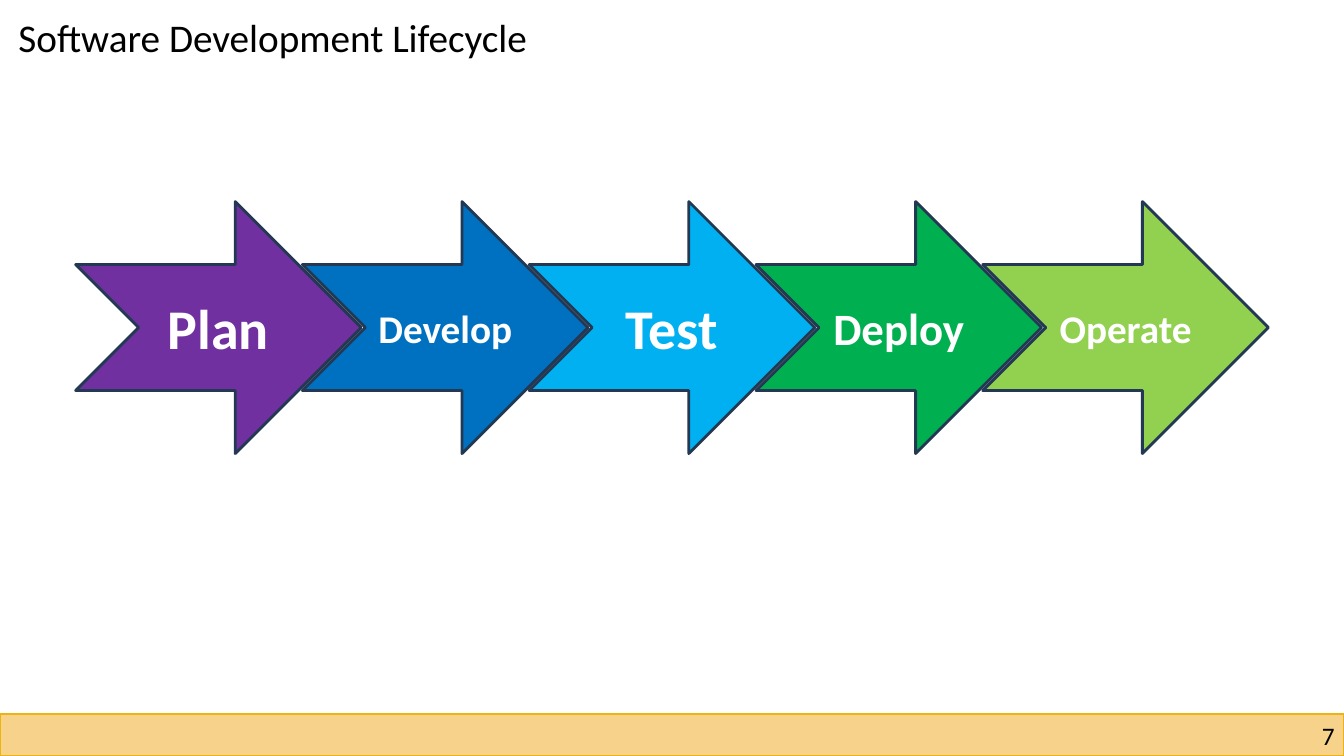
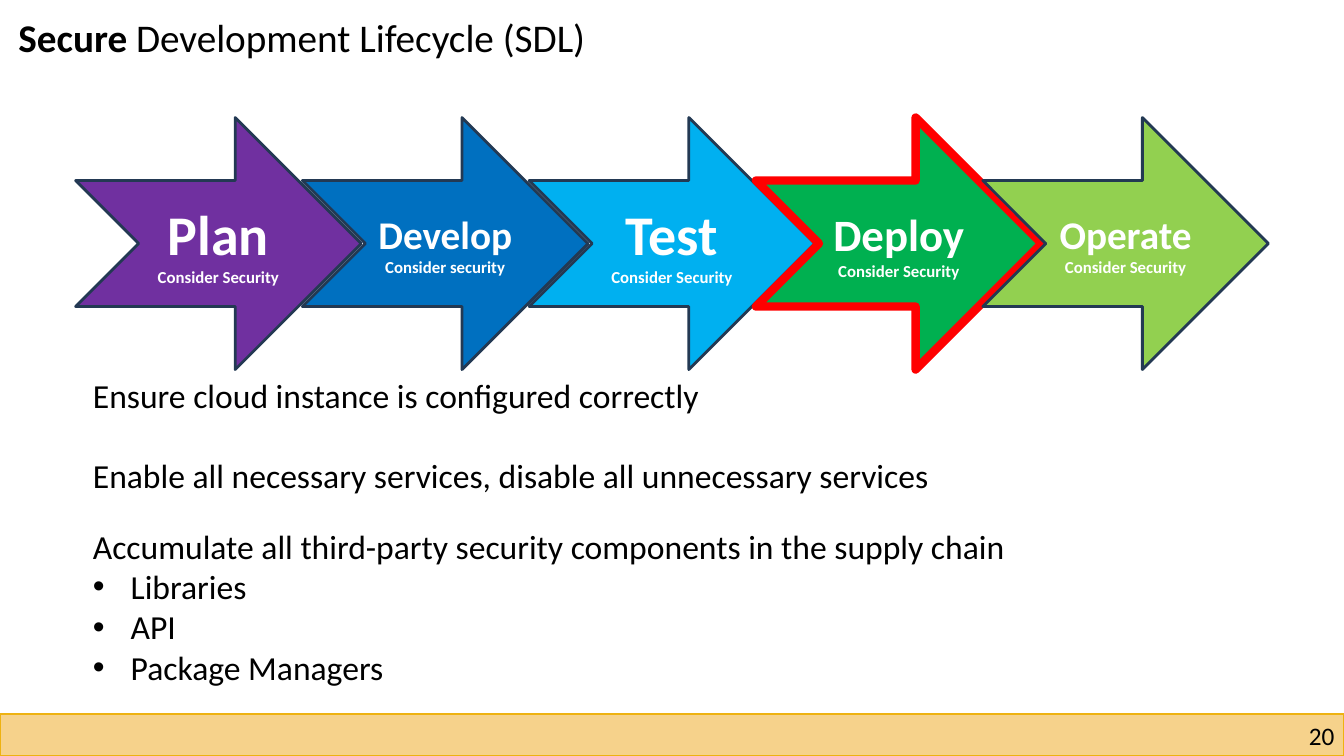
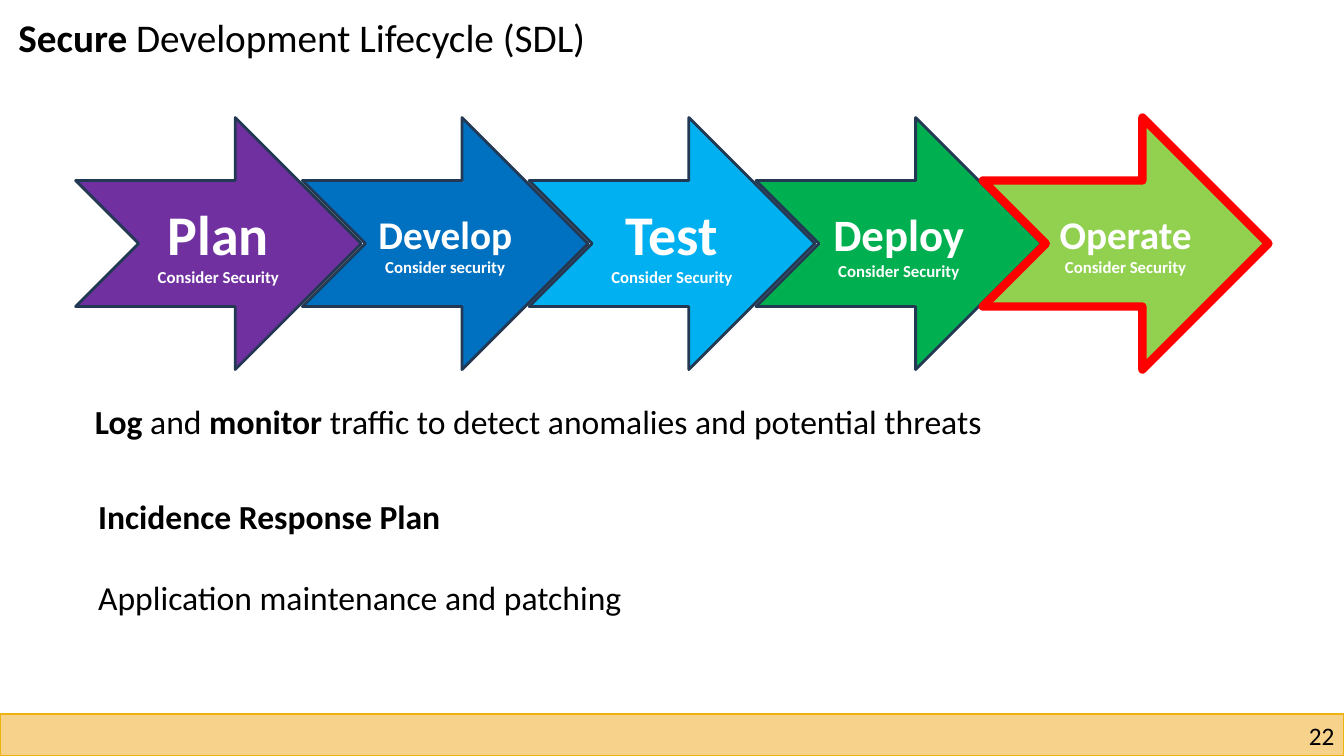
from lxml import etree
from pptx import Presentation
from pptx import util as u
from pptx.dml.color import RGBColor
from pptx.enum import shapes, text
from pptx.oxml.ns import qn

PX = 9525
FONT = "Calibri"
BLACK, WHITE, RED = "000000", "FFFFFF", "FF0000"
OUTLINE, BAND, BAND_EDGE = "233953", "F6D28B", "EEB211"
BLANK_LINE = 28.5

STAGES = [
    ("Plan", 40, "7030A0", "Consider Security"),
    ("Develop", 28, "0070C0", "Consider security"),
    ("Test", 40, "00B0F0", "Consider Security"),
    ("Deploy", 32, "00B050", "Consider Security"),
    ("Operate", 28, "92D050", "Consider Security"),
]

SECURE_TITLE = "*Secure* Development Lifecycle (SDL)"
SLIDES = [
    dict(number="7", title="Software Development Lifecycle", title_width=559,
         arrow_top=192, secure=False, active=None, notes=[]),
    dict(number="20", title=SECURE_TITLE, title_width=645,
         arrow_top=112, secure=True, active="Deploy", notes=[
             ((79, 352, 927, 126), BLANK_LINE, [
                 "Ensure cloud instance is configured correctly",
                 "Enable all necessary services, disable all unnecessary services"]),
             ((79, 496, 967, 165), 0, [
                 "Accumulate all third-party security components in the supply chain",
                 "• Libraries", "• API", "• Package Managers"]),
         ]),
    dict(number="22", title=SECURE_TITLE, title_width=645,
         arrow_top=112, secure=True, active="Operate", notes=[
             ((81, 377, 958, 48), 0, [
                 "*Log* and *monitor* traffic to detect anomalies and potential threats"]),
             ((84, 468, 566, 126), BLANK_LINE, [
                 "*Incidence Response Plan*",
                 "Application maintenance and patching"]),
         ]),
]


def rgb(value):
    return RGBColor.from_string(value)


def write(paragraph, content, size, color=BLACK, align=text.PP_ALIGN.LEFT):
    paragraph.alignment = align
    for index, part in enumerate(content.split("*")):
        if part:
            run = paragraph.add_run()
            run.text = part
            run.font.color.rgb = rgb(color)
            style = dict(name=FONT, size=u.Pt(size), bold=index % 2 == 1)
            for key, value in style.items():
                setattr(run.font, key, value)


deck = Presentation()
deck.slide_width, deck.slide_height = 1280 * PX, 720 * PX

for page in SLIDES:
    slide = deck.slides.add_slide(deck.slide_layouts[5])

    band = slide.shapes.add_shape(
        shapes.MSO_SHAPE.RECTANGLE, 0, 680 * PX, 1280 * PX, 40 * PX)
    band.shadow.inherit = False
    band.fill.solid()
    band.fill.fore_color.rgb = rgb(BAND)
    band.line.color.rgb = rgb(BAND_EDGE)
    band.line.width = u.Pt(1)

    number = slide.shapes.add_textbox(976 * PX, 686 * PX, 295 * PX, 29 * PX).text_frame
    number.word_wrap = True
    for side in ("left", "top", "right", "bottom"):
        setattr(number, f"margin_{side}", 0)
    write(number.paragraphs[0], page["number"], 18, align=text.PP_ALIGN.RIGHT)

    title = slide.shapes.title
    place = dict(left=8, top=8, width=page["title_width"], height=55)
    for key, value in place.items():
        setattr(title, key, value * PX)
    heading = title.text_frame
    frame_style = dict(word_wrap=False, auto_size=text.MSO_AUTO_SIZE.NONE,
                       vertical_anchor=text.MSO_ANCHOR.TOP)
    for key, value in frame_style.items():
        setattr(heading, key, value)
    write(heading.paragraphs[0], page["title"], 28)

    for index, (stage, size, color, reminder) in enumerate(STAGES):
        active = stage == page["active"]
        arrow = slide.shapes.add_shape(
            shapes.MSO_SHAPE.NOTCHED_RIGHT_ARROW,
            (72 + 216 * index) * PX, page["arrow_top"] * PX, 272 * PX, 240 * PX)
        arrow.shadow.inherit = False
        arrow.fill.solid()
        arrow.fill.fore_color.rgb = rgb(color)
        arrow.line.color.rgb = rgb(RED if active else OUTLINE)
        arrow.line.width = u.Pt(6 if active else 2)
        label = arrow.text_frame
        label.vertical_anchor = text.MSO_ANCHOR.MIDDLE
        write(label.paragraphs[0], f"*{stage}*", size, WHITE, text.PP_ALIGN.CENTER)
        if page["secure"]:
            write(label.add_paragraph(), f"*{reminder}*", 12, WHITE, text.PP_ALIGN.CENTER)

    for box, gap, lines in page["notes"]:
        note = slide.shapes.add_textbox(*[value * PX for value in box]).text_frame
        note.word_wrap = False
        for index, line in enumerate(lines):
            paragraph = note.add_paragraph() if index else note.paragraphs[0]
            if index and gap:
                paragraph.space_before = u.Pt(gap)
            if line.startswith("• "):
                properties = paragraph._p.get_or_add_pPr()
                properties.set("marL", str(36 * PX))
                properties.set("indent", str(-36 * PX))
                etree.SubElement(properties, qn("a:buFont"), typeface="Arial")
                etree.SubElement(properties, qn("a:buChar"), char="•")
            write(paragraph, line.removeprefix("• "), 24)

deck.save("out.pptx")
